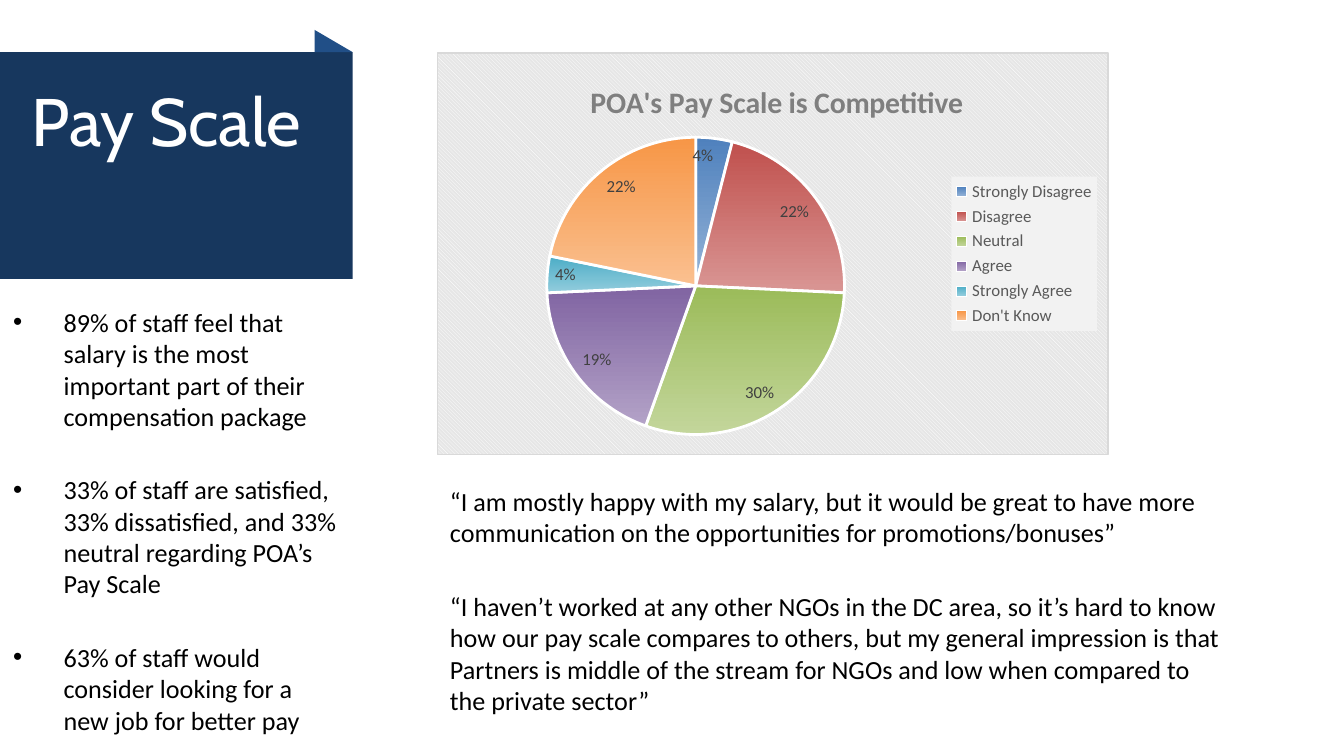
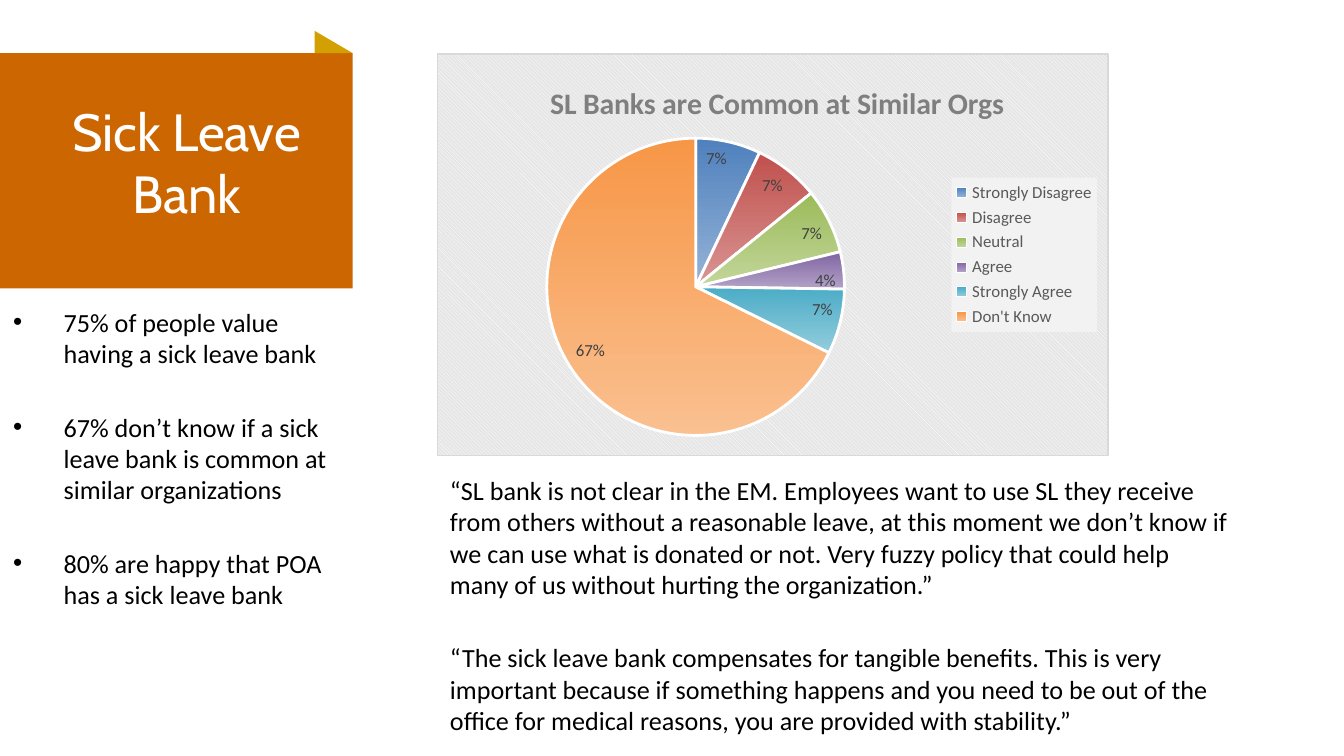
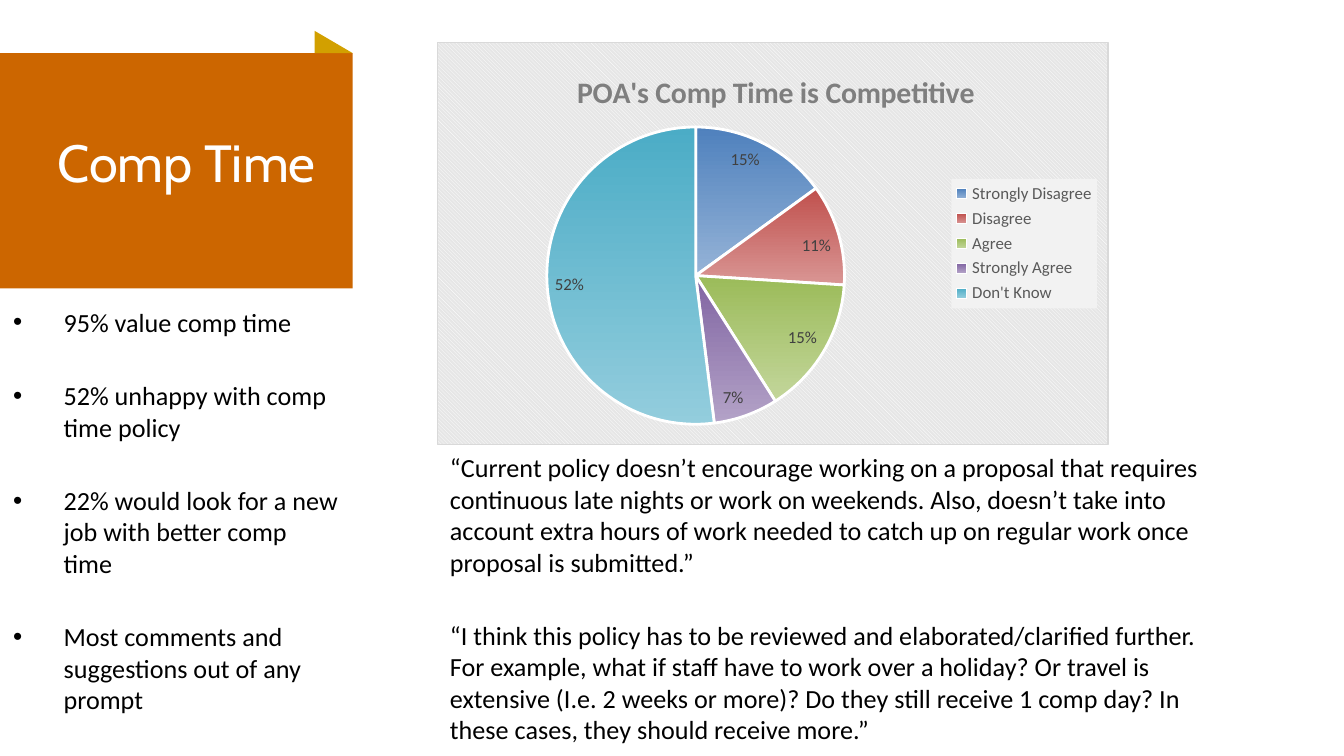
from pptx import Presentation
from pptx.chart.data import CategoryChartData
from pptx.dml.color import RGBColor
from pptx.dml.fill import FillFormat
from pptx.dml.line import LineFormat
from pptx.enum.chart import XL_CHART_TYPE as CHART, XL_LABEL_POSITION as LABEL, XL_LEGEND_POSITION as LEGEND
from pptx.enum.dml import MSO_PATTERN as PATTERN
from pptx.enum.shapes import MSO_SHAPE as SHAPE
from pptx.enum.text import MSO_ANCHOR as ANCHOR, PP_ALIGN as ALIGN
from pptx.oxml.ns import qn
from pptx.oxml.xmlchemy import OxmlElement
from pptx.util import Pt

COLORS = {
    "white": "FFFFFF", "black": "000000",
    "navy": "17375E", "navy_fold": "214F87",
    "orange": "CC6600", "gold_fold": "D2A000",
    "chart_bg": "E6E6E6", "chart_border": "D9D9D9", "chart_title": "7F7F7F",
    "legend_bg": "F2F2F2", "legend_text": "595959", "label": "404040",
}
SLICES = [("4F81BD", "95B3D7"), ("C0504D", "D99694"), ("9BBB59", "C3D69B"),
          ("8064A2", "B3A2C7"), ("4BACC6", "93CDDD"), ("F79646", "FAC090")]
TITLE_FONT, BODY_FONT = "Cabin", "Calibri"
PANEL_W = 189
RIGHT_X = 234
PARA_GAP = 22.5
BULLET_INDENT = 27
ANSWERS = ["Strongly Disagree", "Disagree", "Neutral", "Agree", "Strongly Agree", "Don't Know"]

# Title panels: fill, fold, top and height of the panel, title box, size, alignment
NAVY_PANEL = dict(fill="navy", fold="navy_fold", top=28, height=121.5,
                  title_box=(10, 30, 176, 68), size=36, align=ALIGN.LEFT)
ORANGE_PANEL = dict(fill="orange", fold="gold_fold", top=28.5, height=126,
                    title_box=(5, 52.5, 190, 68), size=28, align=ALIGN.CENTER)

SLIDES = [
    dict(
        title="Pay Scale", panel=NAVY_PANEL,
        points=["89% of staff feel that salary is the most important part of their compensation package",
                "33% of staff are satisfied, 33% dissatisfied, and 33% neutral regarding POA’s Pay Scale",
                "63% of staff would consider looking for a new job for better pay"],
        chart_title="POA's Pay Scale is Competitive", chart_title_x=0.22, chart_top=28,
        answers=ANSWERS, values=[4, 22, 30, 19, 4, 22],
        quotes_top=256.5,
        quotes=["“I am mostly happy with my salary, but it would be great to have more communication on "
                "the opportunities for promotions/bonuses”",
                "“I haven’t worked at any other NGOs in the DC area, so it’s hard to know how our pay scale "
                "compares to others, but my general impression is that Partners is middle of the stream for "
                "NGOs and low when compared to the private sector”"]),
    dict(
        title="Sick Leave Bank", panel=ORANGE_PANEL,
        points=["75% of people value having a sick leave bank",
                "67% don’t know if a sick leave bank is common at similar organizations",
                "80% are happy that POA has a sick leave bank"],
        chart_title="SL Banks are Common at Similar Orgs", chart_title_x=0.16, chart_top=28.5,
        answers=ANSWERS, values=[7, 7, 7, 4, 7, 67],
        quotes_top=250.5,
        quotes=["“SL bank is not clear in the EM. Employees want to use SL they receive from others without "
                "a reasonable leave, at this moment we don’t know if we can use what is donated or not. Very "
                "fuzzy policy that could help many of us without hurting the organization.”",
                "“The sick leave bank compensates for tangible benefits. This is very important because if "
                "something happens and you need to be out of the office for medical reasons, you are provided "
                "with stability.”"]),
    dict(
        title="Comp Time", panel=ORANGE_PANEL,
        points=["95% value comp time",
                "52% unhappy with comp time policy",
                "22% would look for a new job with better comp time",
                "Most comments and suggestions out of any prompt"],
        chart_title="POA's Comp Time is Competitive", chart_title_x=0.2, chart_top=22.5,
        answers=[a for a in ANSWERS if a != "Neutral"], values=[15, 11, 15, 7, 52],
        quotes_top=238.5,
        quotes=["“Current policy doesn’t encourage working on a proposal that requires continuous late nights "
                "or work on weekends. Also, doesn’t take into account extra hours of work needed to catch up "
                "on regular work once proposal is submitted.”",
                "“I think this policy has to be reviewed and elaborated/clarified further. For example, what "
                "if staff have to work over a holiday? Or travel is extensive (I.e. 2 weeks or more)? Do they "
                "still receive 1 comp day? In these cases, they should receive more.”"]),
]


def rgb(name):
    return RGBColor.from_string(COLORS.get(name, name))


def style_font(font, size, color, name=BODY_FONT, bold=False):
    font.size, font.name, font.bold = Pt(size), name, bold
    font.color.rgb = rgb(color)


def add_shape(s, kind, box, fill):
    sp = s.shapes.add_shape(kind, *map(Pt, box))
    sp.shadow.inherit = False
    sp.fill.solid()
    sp.fill.fore_color.rgb = rgb(fill)
    sp.line.fill.background()


def add_text(s, box, paragraphs, size, color, font=BODY_FONT, align=ALIGN.LEFT,
             anchor=ANCHOR.TOP, bullets=False):
    tf = s.shapes.add_textbox(*map(Pt, box)).text_frame
    tf.word_wrap, tf.vertical_anchor = True, anchor
    for i, text in enumerate(paragraphs):
        p = tf.add_paragraph() if i else tf.paragraphs[0]
        if i:
            p.space_before = Pt(PARA_GAP)
        p.alignment = align
        if bullets:
            add_bullet(p)
        r = p.add_run()
        r.text = text
        style_font(r.font, size, color, font)


def add_bullet(p):
    pPr = p._p.get_or_add_pPr()
    pPr.set("marL", str(Pt(BULLET_INDENT)))
    pPr.set("indent", str(-Pt(BULLET_INDENT)))
    for tag, key, value in (("a:buFont", "typeface", "Arial"), ("a:buChar", "char", "•")):
        el = OxmlElement(tag)
        el.set(key, value)
        pPr.append(el)


def title_panel(s, title, panel):
    top = panel["top"]
    add_shape(s, SHAPE.RECTANGLE, (0, top, PANEL_W, panel["height"]), panel["fill"])
    add_text(s, panel["title_box"], [title], panel["size"], "white", TITLE_FONT,
             panel["align"], ANCHOR.MIDDLE)
    fold_w, fold_h = 20.5, 12
    add_shape(s, SHAPE.RIGHT_TRIANGLE, (PANEL_W - fold_w, top - fold_h, fold_w, fold_h), panel["fold"])


def set_layout(parent, **fractions):
    """Place a chart part by fractions of the chart's size."""
    layout, manual = OxmlElement("c:layout"), OxmlElement("c:manualLayout")
    layout.append(manual)
    settings = {"xMode": "edge", "yMode": "edge", **fractions}
    if "w" in fractions:
        settings = {"layoutTarget": "inner", **settings}
    for key, value in settings.items():
        el = OxmlElement("c:" + key)
        el.set("val", str(value))
        manual.append(el)
    old = parent.find(qn("c:layout"))
    if old is None:
        parent.insert(0, layout)
    else:
        parent.replace(old, layout)


def format_after(element):
    """Add shape properties behind a chart element; return their fill and line."""
    spPr = OxmlElement("c:spPr")
    element.addnext(spPr)
    return FillFormat.from_fill_parent(spPr), LineFormat(spPr)


def style_frame(chart):
    root = chart._chartSpace
    chart_el = root.find(qn("c:chart"))
    corners = OxmlElement("c:roundedCorners")
    corners.set("val", "0")
    chart_el.addprevious(corners)
    fill, line = format_after(chart_el)
    fill.patterned()
    fill.pattern = PATTERN.DARK_DOWNWARD_DIAGONAL
    fill.fore_color.rgb, fill.back_color.rgb = rgb("white"), rgb("chart_bg")
    line.width = Pt(0.75)
    line.color.rgb = rgb("chart_border")


def style_legend(chart):
    chart.has_legend = True
    legend = chart.legend
    legend.position, legend.include_in_layout = LEGEND.RIGHT, False
    style_font(legend.font, 9, "legend_text")
    fill, _ = format_after(legend._element.find(qn("c:overlay")))
    fill.solid()
    fill.fore_color.rgb = rgb("legend_bg")


def style_slices(plot, count):
    plot.vary_by_categories = True
    for i, stops in enumerate(SLICES[:count]):
        fmt = plot.series[0].points[i].format
        fmt.fill.gradient()
        fmt.fill.gradient_angle = 270
        for stop, color, position in zip(fmt.fill.gradient_stops, stops, (0, 1)):
            stop.color.rgb, stop.position = rgb(color), position
        fmt.line.width = Pt(1.5)
        fmt.line.color.rgb = rgb("white")
    plot.has_data_labels = True
    labels = plot.data_labels
    labels.show_value, labels.show_percentage = True, False
    labels.number_format, labels.number_format_is_linked = '0"%"', False
    labels.position = LABEL.INSIDE_END
    style_font(labels.font, 9, "label")


def survey_pie(s, box, title, title_x, answers, values):
    data = CategoryChartData()
    data.categories = answers
    data.add_series("Series 1", values)
    chart = s.shapes.add_chart(CHART.PIE, *map(Pt, box), data).chart
    style_frame(chart)
    style_font(chart.font, 10, "black")
    chart.has_title = True
    r = chart.chart_title.text_frame.paragraphs[0].add_run()
    r.text = title
    style_font(r.font, 16, "chart_title", bold=True)
    set_layout(chart.chart_title._element, x=title_x, y=0.06)
    set_layout(chart._chartSpace.chart.plotArea, x=0.16, y=0.21, w=0.45, h=0.74)
    style_legend(chart)
    style_slices(chart.plots[0], len(values))


def survey_slide(prs, d):
    s = prs.slides.add_slide(prs.slide_layouts[6])
    title_panel(s, d["title"], d["panel"])
    add_text(s, (0, 160.5, PANEL_W, 240), d["points"], 14, "black", bullets=True)
    survey_pie(s, (RIGHT_X, d["chart_top"], 360, 216), d["chart_title"], d["chart_title_x"],
               d["answers"], d["values"])
    add_text(s, (RIGHT_X, d["quotes_top"], 432, 138), d["quotes"], 14, "black")


def main():
    prs = Presentation()
    prs.slide_width, prs.slide_height = Pt(720), Pt(405)
    for d in SLIDES:
        survey_slide(prs, d)
    prs.save("out.pptx")


if __name__ == "__main__":
    main()
